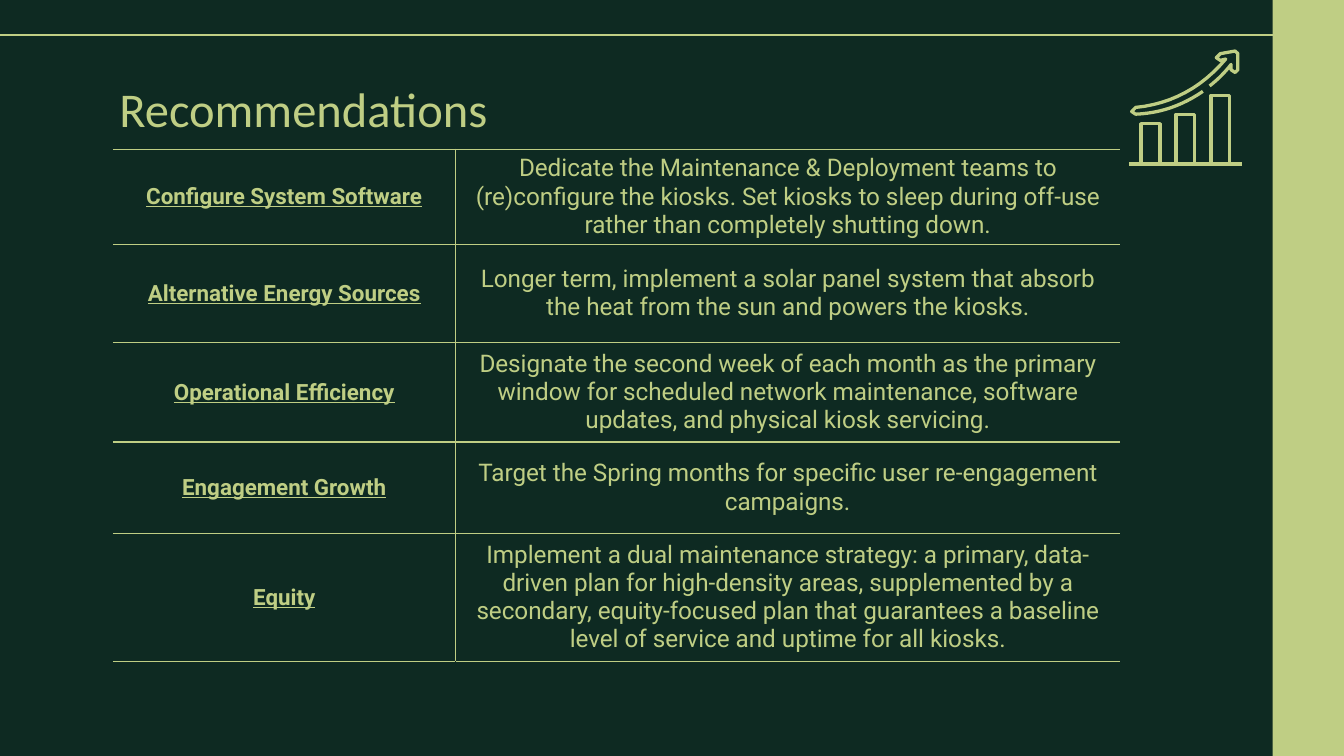
"""Build the Recommendations slide."""
from dataclasses import dataclass

from lxml import etree
from pptx import Presentation
from pptx import util as u
from pptx.dml.color import RGBColor
from pptx.enum import shapes, text
from pptx.oxml import ns


@dataclass(frozen=True)
class Theme:
    """Colours, fonts and sizes of the deck."""
    dark: str = "0E2A22"
    lime: str = "BFCE84"
    title_font: str = "Calibri"
    body_font: str = "Roboto"
    title_size: float = 26
    label_size: float = 12
    body_size: float = 13
    rule: float = 0.75
    stroke: float = 1.75


THEME = Theme()
PAGE_WIDTH = 10
PAGE_HEIGHT = PAGE_WIDTH * 9 / 16
ROWS = [
    ("Configure System Software", 0.71,
     "Dedicate the Maintenance & Deployment teams to (re)configure the kiosks. "
     "Set kiosks to sleep during off-use rather than completely shutting down."),
    ("Alternative Energy Sources", 0.73,
     "Longer term, implement a solar panel system that absorb the heat from the sun "
     "and powers the kiosks."),
    ("Operational Efficiency", 0.74,
     "Designate the second week of each month as the primary window for scheduled "
     "network maintenance, software updates, and physical kiosk servicing."),
    ("Engagement Growth", 0.68,
     "Target the Spring months for specific user re-engagement campaigns."),
    ("Equity", 0.95,
     "Implement a dual maintenance strategy: a primary, data-driven plan for "
     "high-density areas, supplemented by a secondary, equity-focused plan that "
     "guarantees a baseline level of service and uptime for all kiosks."),
    ("", 0.6, ""),
]


def color(value):
    """Return the RGB colour for a hex string."""
    return RGBColor.from_string(value)


def write(frame, words, size, font=THEME.body_font, bold=False, underline=False,
          align=text.PP_ALIGN.CENTER):
    """Put one formatted paragraph into a text frame."""
    para = frame.paragraphs[0]
    para.alignment = align
    span = para.add_run()
    span.text = words
    span.font.name, span.font.size = font, u.Pt(size)
    span.font.bold, span.font.underline = bold, underline
    span.font.color.rgb = color(THEME.lime)


def add_line(page, start, end, width):
    """Draw a straight lime line between two points in inches."""
    ends = [u.Inches(value) for value in (*start, *end)]
    line = page.shapes.add_connector(shapes.MSO_CONNECTOR.STRAIGHT, *ends)
    line.line.color.rgb = color(THEME.lime)
    line.line.width = u.Pt(width)
    etree.SubElement(line._element.spPr, ns.qn("a:effectLst"))


def add_path(page, points, width):
    """Draw an open lime outline through points in inches."""
    first, *others = [(u.Inches(x), u.Inches(y)) for x, y in points]
    builder = page.shapes.build_freeform(*first)
    builder.add_line_segments(others, close=False)
    shape = builder.convert_to_shape()
    shape.shadow.inherit = False
    shape.fill.background()
    shape.line.color.rgb = color(THEME.lime)
    shape.line.width = u.Pt(width)


def curve(start, control, end, steps=12):
    """Return points along a quadratic curve."""
    fractions = [step / steps for step in range(steps + 1)]
    return [tuple((1 - t) ** 2 * a + 2 * t * (1 - t) * b + t * t * c
                  for a, b, c in zip(start, control, end)) for t in fractions]


def add_border(cell, side, value):
    """Set one cell border to a colour, or to nothing."""
    line = etree.SubElement(cell._tc.get_or_add_tcPr(), ns.qn(f"a:ln{side}"),
                            w=str(u.Pt(THEME.rule)))
    if value is None:
        etree.SubElement(line, ns.qn("a:noFill"))
    else:
        fill = etree.SubElement(line, ns.qn("a:solidFill"))
        etree.SubElement(fill, ns.qn("a:srgbClr"), val=value)


def add_frame(page, left, top, width, height, band):
    """Draw the top rule and the right-hand band."""
    add_line(page, (left, top + 0.26), (left + width, top + 0.26), THEME.rule)
    edge = [u.Inches(value) for value in (left + width - band, top, band, height)]
    bar = page.shapes.add_shape(shapes.MSO_SHAPE.RECTANGLE, *edge)
    bar.shadow.inherit = False
    bar.fill.solid()
    bar.fill.fore_color.rgb = color(THEME.lime)
    bar.line.fill.background()


def add_title(page, left, top, width, height, words):
    """Write the slide title."""
    box = page.shapes.add_textbox(*map(u.Inches, (left, top, width, height)))
    frame = box.text_frame
    frame.word_wrap = True
    frame.vertical_anchor = text.MSO_ANCHOR.MIDDLE
    frame.margin_left = frame.margin_right = u.Inches(0.1)
    frame.margin_top = frame.margin_bottom = u.Inches(0.1)
    write(frame, words, THEME.title_size, font=THEME.title_font,
          align=text.PP_ALIGN.LEFT)


def add_recommendations(page, left, top, widths):
    """Build the ruled table of recommendations."""
    size = (left, top, sum(widths), sum(height for _, height, _ in ROWS))
    holder = page.shapes.add_table(len(ROWS), len(widths), *map(u.Inches, size))
    table = holder.table
    table.first_row = table.horz_banding = False
    for column, width in zip(table.columns, widths):
        column.width = u.Inches(width)
    for index, (label, height, advice) in enumerate(ROWS):
        table.rows[index].height = u.Inches(height)
        divider = THEME.lime if label else THEME.dark
        bottom = THEME.lime if label else None
        for place, words in enumerate((label, advice)):
            cell = table.cell(index, place)
            cell.vertical_anchor = text.MSO_ANCHOR.MIDDLE
            cell.margin_left = cell.margin_right = u.Inches(0.1)
            cell.margin_top = cell.margin_bottom = 0
            add_border(cell, "L", divider if place else None)
            add_border(cell, "R", None if place else divider)
            add_border(cell, "T", THEME.lime)
            add_border(cell, "B", bottom)
            cell.fill.background()
            if words:
                is_label = place == 0
                points = THEME.label_size if is_label else THEME.body_size
                write(cell.text_frame, words, points, bold=is_label, underline=is_label)


def add_growth_icon(page, left, top):
    """Draw a bar chart icon with a rising arrow."""
    base = 0.85
    bars = [[(x, base), (x, y), (x + 0.14, y), (x + 0.14, base)]
            for x, y in ((0.1, 0.55), (0.36, 0.48), (0.62, 0.34))]
    arrow = [
        *curve((0.56, 0.31), (0.33, 0.47), (0.06, 0.48)), (0.03, 0.46),
        *curve((0.06, 0.43), (0.46, 0.39), (0.73, 0.07)),
        (0.69, 0.08), (0.66, 0.06), (0.69, 0.03), (0.8, 0.01), (0.82, 0.03),
        (0.82, 0.15), (0.8, 0.17), (0.77, 0.15),
        *curve((0.77, 0.11), (0.7, 0.2), (0.61, 0.27)),
    ]
    for outline in (*bars, arrow):
        add_path(page, [(left + x, top + y) for x, y in outline], THEME.stroke)
    add_line(page, (left + 0.01, top + base), (left + 0.85, top + base), THEME.stroke)


def main():
    """Assemble and save the deck."""
    deck = Presentation()
    deck.slide_width, deck.slide_height = u.Inches(PAGE_WIDTH), u.Inches(PAGE_HEIGHT)
    page = deck.slides.add_slide(deck.slide_layouts[6])
    page.background.fill.solid()
    page.background.fill.fore_color.rgb = color(THEME.dark)
    add_frame(page, 0, 0, PAGE_WIDTH, PAGE_HEIGHT, band=0.53)
    add_title(page, 0.79, 0.49, 3.62, 0.63, "Recommendations")
    add_recommendations(page, 0.84, 1.11, (2.55, 4.94))
    add_growth_icon(page, 8.39, 0.37)
    deck.save("out.pptx")


if __name__ == "__main__":
    main()
